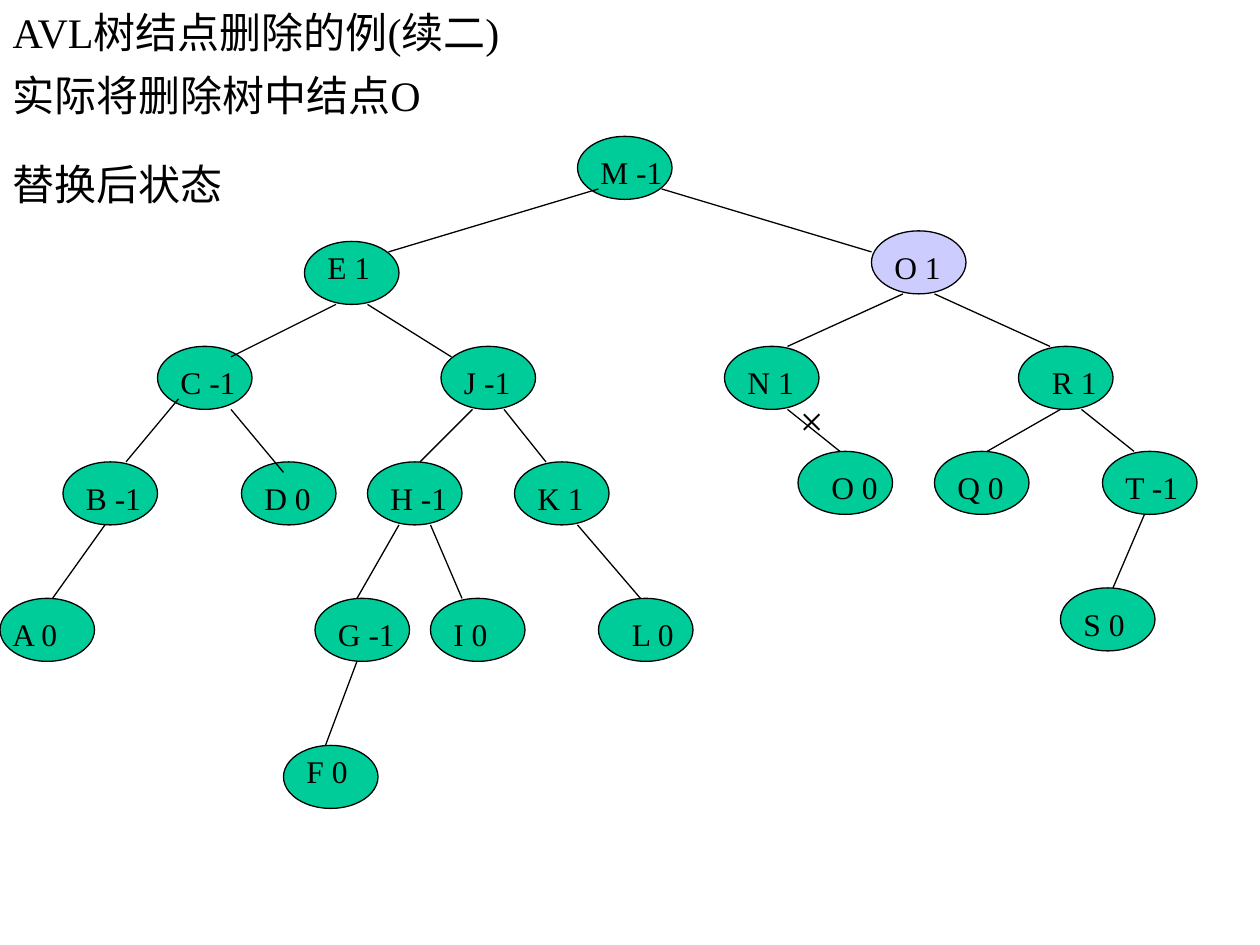
from lxml import etree
from pptx import Presentation
from pptx.dml.color import RGBColor
from pptx.enum.shapes import MSO_CONNECTOR, MSO_SHAPE
from pptx.enum.text import MSO_ANCHOR, MSO_AUTO_SIZE, PP_ALIGN
from pptx.oxml.ns import qn
from pptx.util import Cm, Pt

ELLIPSE, STRAIGHT = MSO_SHAPE.OVAL, MSO_CONNECTOR.STRAIGHT
LEFT, MIDDLE, TOP = PP_ALIGN.LEFT, MSO_ANCHOR.MIDDLE, MSO_ANCHOR.TOP
NO_FIT, FIT_SHAPE = MSO_AUTO_SIZE.NONE, MSO_AUTO_SIZE.SHAPE_TO_FIT_TEXT

BLACK = RGBColor(0x00, 0x00, 0x00)
NODE_GREEN = RGBColor(0x00, 0xCC, 0x99)
REPLACED_LILAC = RGBColor(0xCC, 0xCC, 0xFF)
FONT = "Times New Roman"

# The tree sits on a grid of twelve cells to the inch
CELL = Cm(2.54) / 12
NODE_W, NODE_H = 9, 6
LABEL_H = 4.8
LINE_WIDTH = Pt(0.75)
REPLACED = "O 1"

# Node label: (column, row) of the ellipse
NODES = {
    "M -1": (55, 0),
    "E 1": (29, 10), "O 1": (83, 9),
    "C -1": (15, 20), "J -1": (42, 20), "N 1": (69, 20), "R 1": (97, 20),
    "B -1": (6, 31), "D 0": (23, 31), "H -1": (35, 31), "K 1": (49, 31),
    "O 0": (76, 30), "Q 0": (89, 30), "T -1": (105, 30),
    "A 0": (0, 44), "G -1": (30, 44), "I 0": (41, 44), "L 0": (57, 44),
    "S 0": (101, 43),
    "F 0": (27, 58),
}

# Label offset inside its node, where it differs from the usual one
LABEL_OFFSET = (1, 1)
LABEL_OFFSETS = {"E 1": (1, 0), "F 0": (1, 0), "A 0": (0, 1),
                 "L 0": (2, 1), "O 0": (2, 1), "R 1": (2, 1)}

# Parent, exit point within it, child, entry point within it
BRANCHES = [
    ("M -1", (2, 5), "E 1", (8, 1)), ("M -1", (8, 5), "O 1", (0, 2)),
    ("E 1", (3, 6), "C -1", (7, 1)), ("E 1", (6, 6), "J -1", (1, 1)),
    ("C -1", (2, 5), "B -1", (6, 0)), ("C -1", (7, 6), "D 0", (4, 1)),
    ("B -1", (4, 6), "A 0", (5, 0)),
    ("J -1", (3, 6), "H -1", (5, 0)), ("J -1", (6, 6), "K 1", (3, 0)),
    ("H -1", (3, 6), "G -1", (4, 0)), ("H -1", (6, 6), "I 0", (3, 0)),
    ("K 1", (6, 6), "L 0", (4, 0)), ("G -1", (4, 6), "F 0", (4, 0)),
    ("O 1", (3, 6), "N 1", (6, 0)), ("O 1", (6, 6), "R 1", (3, 0)),
    ("N 1", (6, 6), "O 0", (4, 0)),
    ("R 1", (4, 6), "Q 0", (5, 0)), ("R 1", (6, 6), "T -1", (3, 0)),
    ("T -1", (4, 6), "S 0", (5, 0)),
]
CUT_MARK = (75, 24, 7, 6)


def add_run(paragraph, text, size):
    paragraph.alignment = LEFT
    run = paragraph.add_run()
    run.text = text
    run.font.name = FONT
    run.font.size = Pt(size)
    run.font.color.rgb = BLACK


def add_title(slide, left, top, width, height):
    title = slide.shapes.title
    title.left, title.top, title.width, title.height = left, top, width, height
    title.text_frame.vertical_anchor = MIDDLE
    title.text_frame.auto_size = NO_FIT
    add_run(title.text_frame.paragraphs[0], "AVL树结点删除的例(续二)", 24)


def add_explanation(slide, left, top, width, height):
    frame = slide.shapes.add_textbox(left, top, width, height).text_frame
    frame.word_wrap = True
    frame.vertical_anchor = TOP
    add_run(frame.paragraphs[0], "实际将删除树中结点O", 24)
    state = frame.add_paragraph()
    state.space_before = Pt(22)
    add_run(state, "替换后状态", 24)


def add_tree(slide, left, top):
    def place(column, row):
        return round(left + column * CELL), round(top + row * CELL)

    def within(node, offset):
        return place(NODES[node][0] + offset[0], NODES[node][1] + offset[1])

    def add_label(text, corner, width, height, size):
        box = slide.shapes.add_textbox(*corner, round(width * CELL), round(height * CELL))
        box.text_frame.word_wrap = True
        box.text_frame.auto_size = FIT_SHAPE
        add_run(box.text_frame.paragraphs[0], text, size)

    # Nodes
    for node, cell in NODES.items():
        ellipse = slide.shapes.add_shape(
            ELLIPSE, *place(*cell), round(NODE_W * CELL), round(NODE_H * CELL))
        ellipse.shadow.inherit = False
        ellipse.fill.solid()
        ellipse.fill.fore_color.rgb = REPLACED_LILAC if node == REPLACED else NODE_GREEN
        ellipse.line.color.rgb = BLACK
        ellipse.line.width = LINE_WIDTH

    # Branches
    for parent, exit_point, child, entry_point in BRANCHES:
        branch = slide.shapes.add_connector(
            STRAIGHT, *within(parent, exit_point), *within(child, entry_point))
        branch.line.color.rgb = BLACK
        branch.line.width = LINE_WIDTH
        etree.SubElement(branch._element.spPr, qn("a:effectLst"))

    # Node labels with balance factors
    for node in NODES:
        offset = LABEL_OFFSETS.get(node, LABEL_OFFSET)
        add_label(node, within(node, offset), NODE_W, LABEL_H, 18)

    # Cross on the branch being removed
    column, row, width, height = CUT_MARK
    add_label("×", place(column, row), width, height, 24)


def main():
    presentation = Presentation()
    presentation.slide_width, presentation.slide_height = Cm(25.4), Cm(19.05)
    slide = presentation.slides.add_slide(presentation.slide_layouts.get_by_name("Title Only"))
    add_title(slide, 0, 0, Cm(21.59), Cm(1.27))
    add_explanation(slide, 0, Cm(1.27), Cm(24.55), Cm(16.93))
    add_tree(slide, 0, Cm(2.75))
    presentation.save("out.pptx")


if __name__ == "__main__":
    main()
